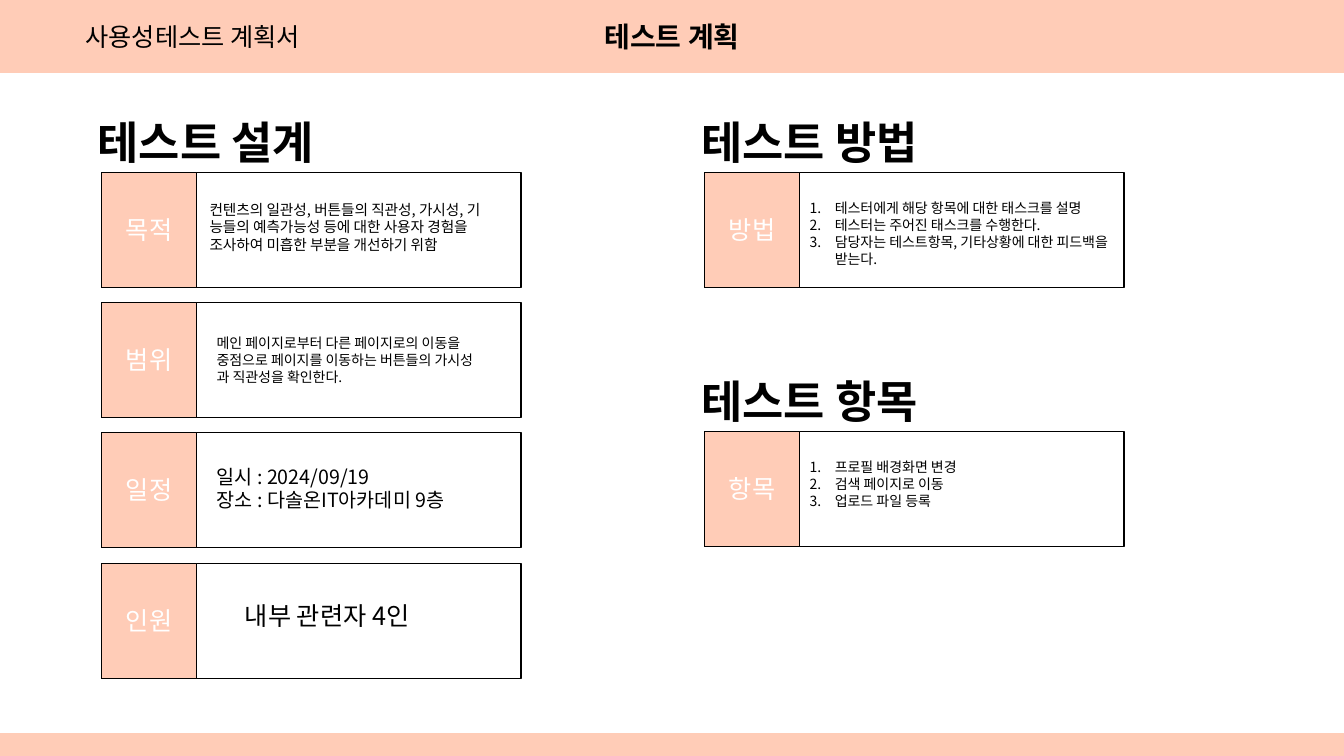
"""Builds the usability test plan slide."""
import lxml.etree
import pptx
import pptx.dml.color
import pptx.enum.shapes
import pptx.enum.text
import pptx.oxml.ns
import pptx.util

Inches = pptx.util.Inches
Pt = pptx.util.Pt
qn = pptx.oxml.ns.qn
ALIGN = pptx.enum.text.PP_ALIGN
ANCHOR = pptx.enum.text.MSO_ANCHOR
RECTANGLE = pptx.enum.shapes.MSO_SHAPE.RECTANGLE

PEACH = pptx.dml.color.RGBColor(0xFF, 0xCC, 0xB7)
BLACK = pptx.dml.color.RGBColor(0, 0, 0)
WHITE = pptx.dml.color.RGBColor(0xFF, 0xFF, 0xFF)
FONT = "Noto Sans CJK KR"


def write(shape, text, size, color=BLACK, bold=False, align=ALIGN.LEFT,
          anchor=ANCHOR.TOP, numbered=False):
    frame = shape.text_frame
    frame.text = text
    frame.word_wrap = True
    frame.auto_size = pptx.enum.text.MSO_AUTO_SIZE.NONE
    frame.vertical_anchor = anchor
    for paragraph in frame.paragraphs:
        if numbered:
            properties = paragraph._p.get_or_add_pPr()
            properties.set("marL", str(Inches(0.25)))
            properties.set("indent", str(-Inches(0.25)))
            lxml.etree.SubElement(properties, qn("a:buFont"), typeface="+mj-lt")
            lxml.etree.SubElement(properties, qn("a:buAutoNum"), type="arabicPeriod")
        paragraph.alignment = align
        paragraph.space_before = Pt(0)
        for run in paragraph.runs:
            run.font.size = Pt(size)
            run.font.bold = bold
            run.font.color.rgb = color
            run.font.name = FONT
            lxml.etree.SubElement(run.font._element, qn("a:ea"), typeface=FONT)


def add_box(shapes, left, top, width, height, fill, line):
    box = shapes.add_shape(RECTANGLE, Inches(left), Inches(top), Inches(width), Inches(height))
    box.shadow.inherit = False
    box.fill.solid()
    box.fill.fore_color.rgb = fill
    box.line.color.rgb = line
    box.line.width = Pt(1)
    return box


deck = pptx.Presentation()
deck.slide_width = Inches(13.33)
deck.slide_height = Inches(7.5)
slide = deck.slides.add_slide(deck.slide_layouts[3])
header, methods, items = slide.placeholders

header.left, header.top = Inches(0), Inches(0)
header.width, header.height = Inches(13.33), Inches(0.72)
header.fill.solid()
header.fill.fore_color.rgb = PEACH
header.line.color.rgb = PEACH
header.line.width = Pt(1)
write(header, "테스트 계획", 20, bold=True, align=ALIGN.CENTER, anchor=ANCHOR.MIDDLE)

add_box(slide.shapes, 0, 7.28, 13.33, 0.22, PEACH, PEACH)

cards = [
    ("목적", 1.01, 1.71),
    ("범위", 1.01, 3.0),
    ("일정", 1.01, 4.29),
    ("인원", 1.01, 5.59),
    ("방법", 6.99, 1.71),
    ("항목", 6.99, 4.28),
]
for label, left, top in cards:
    card = slide.shapes.add_group_shape()
    add_box(card.shapes, left, top, 4.16, 1.14, WHITE, BLACK)
    tab = add_box(card.shapes, left, top, 0.94, 1.14, PEACH, BLACK)
    write(tab, label, 18, color=WHITE, align=ALIGN.CENTER, anchor=ANCHOR.MIDDLE)

texts = [
    ("사용성테스트 계획서", 0.75, 0.16, 2.56, 0.4, 18, False),
    ("테스트 설계", 0.87, 1.09, 2.6, 0.64, 32, True),
    ("테스트 방법", 6.86, 1.09, 2.6, 0.64, 32, True),
    ("테스트 항목", 6.86, 3.66, 2.6, 0.64, 32, True),
    ("컨텐츠의 일관성, 버튼들의 직관성, 가시성, 기\n"
     "능들의 예측가능성 등에 대한 사용자 경험을\n"
     "조사하여 미흡한 부분을 개선하기 위함", 1.98, 1.94, 3.21, 0.81, 10.5, False),
    ("메인 페이지로부터 다른 페이지로의 이동을\n"
     "중점으로 페이지를 이동하는 버튼들의 가시성\n"
     "과 직관성을 확인한다.", 2.05, 3.27, 3.06, 0.61, 10, False),
    ("일시 : 2024/09/19\n장소 : 다솔온IT아카데미 9층", 2.05, 4.56, 2.68, 0.57, 14, False),
    ("내부 관련자 4인", 2.33, 5.91, 2.12, 0.4, 18, False),
]
for text, left, top, width, height, size, bold in texts:
    caption = slide.shapes.add_textbox(Inches(left), Inches(top), Inches(width), Inches(height))
    write(caption, text, size, bold=bold)

numbered_lists = [
    (methods, 1.93, 0.94,
     "테스터에게 해당 항목에 대한 태스크를 설명\n"
     "테스터는 주어진 태스크를 수행한다.\n"
     "담당자는 테스트항목, 기타상황에 대한 피드백을 받는다."),
    (items, 4.5, 1.11,
     "프로필 배경화면 변경\n검색 페이지로 이동\n업로드 파일 등록"),
]
for steps, top, height, text in numbered_lists:
    steps.left, steps.top = Inches(7.93), Inches(top)
    steps.width, steps.height = Inches(3.22), Inches(height)
    write(steps, text, 10, numbered=True)
    steps.element.getparent().append(steps.element)

deck.save("out.pptx")
